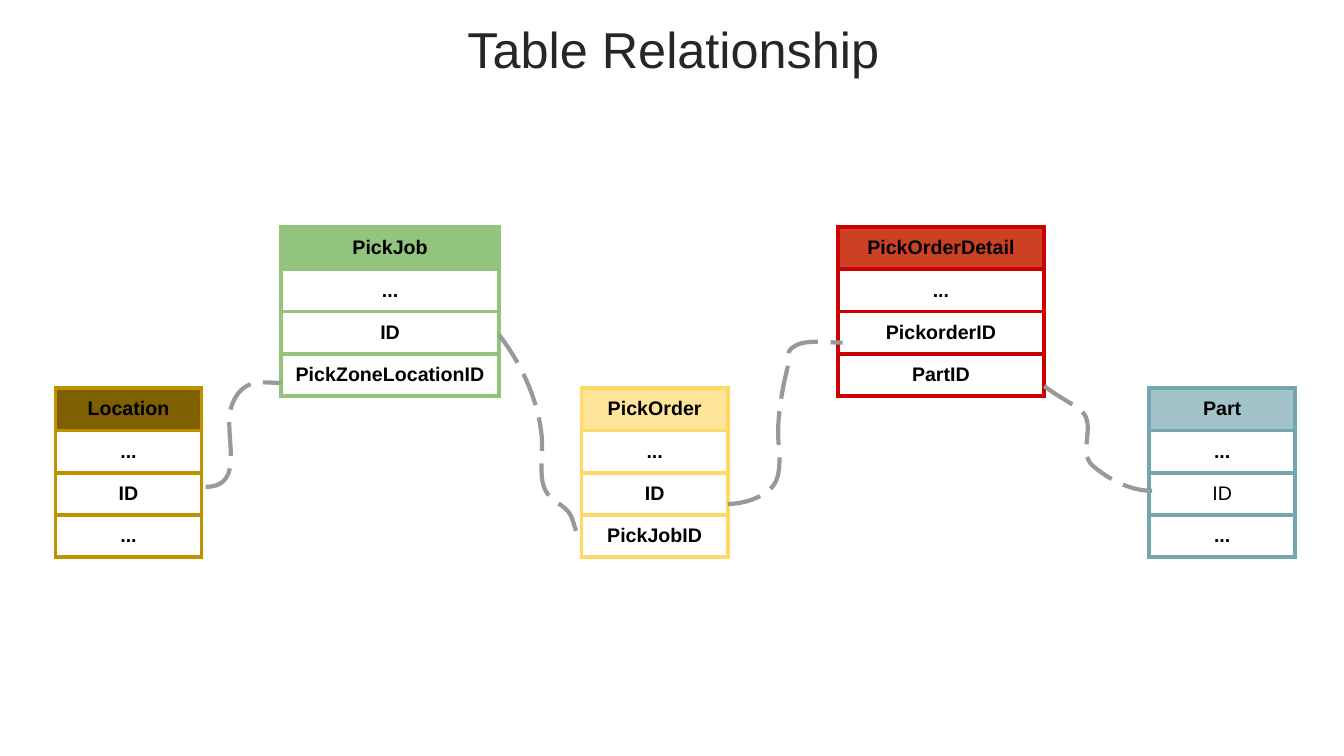
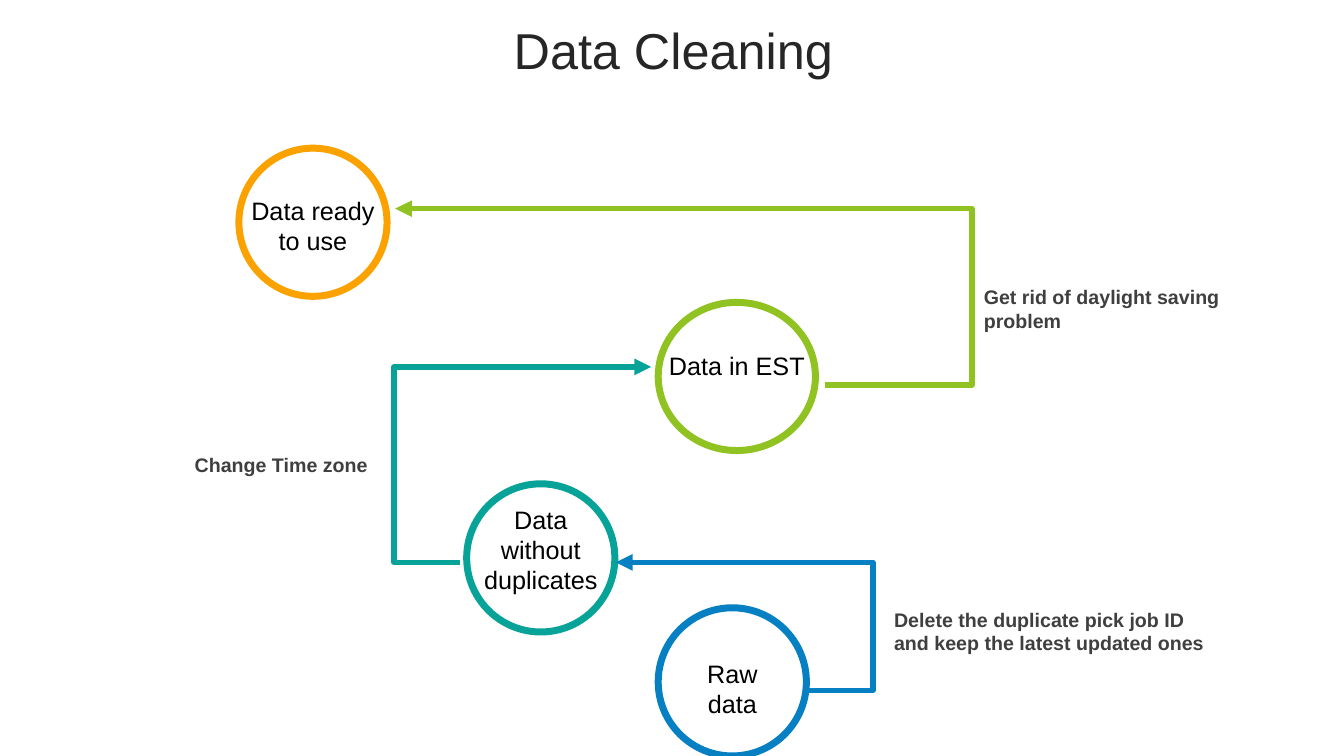
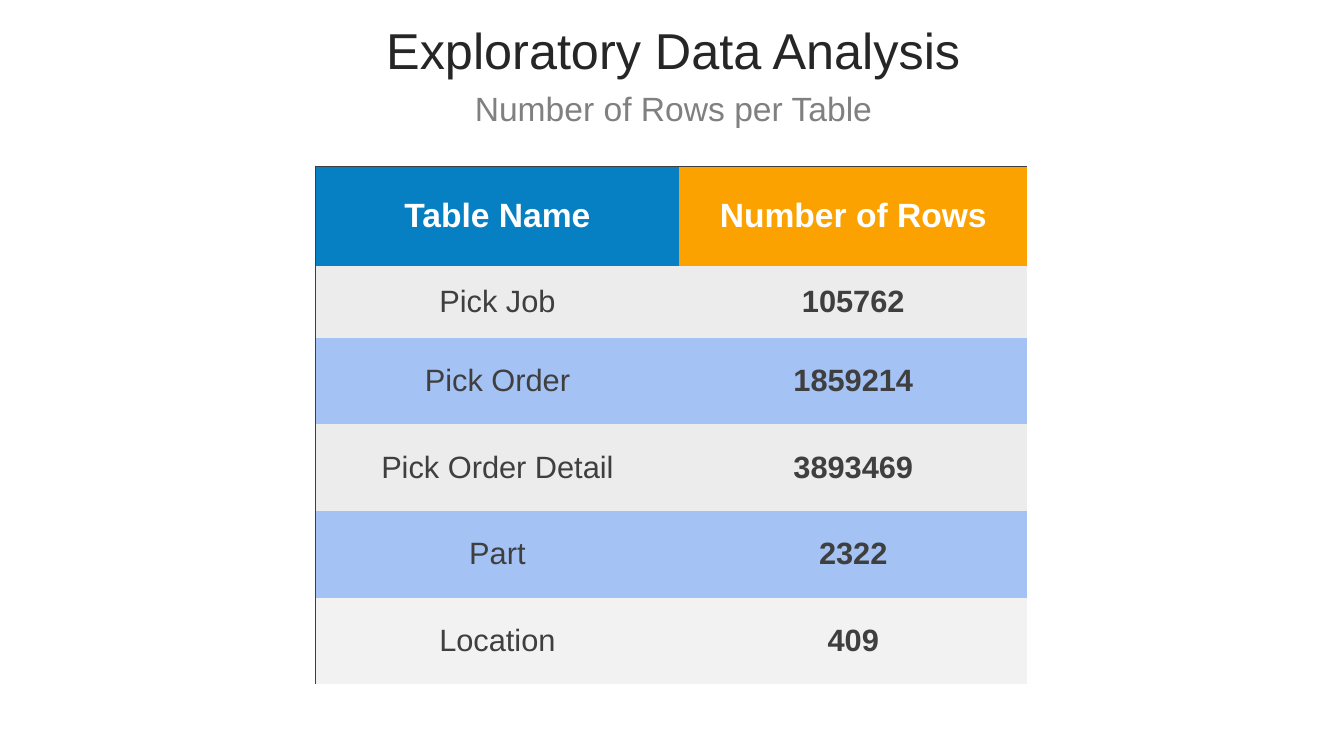
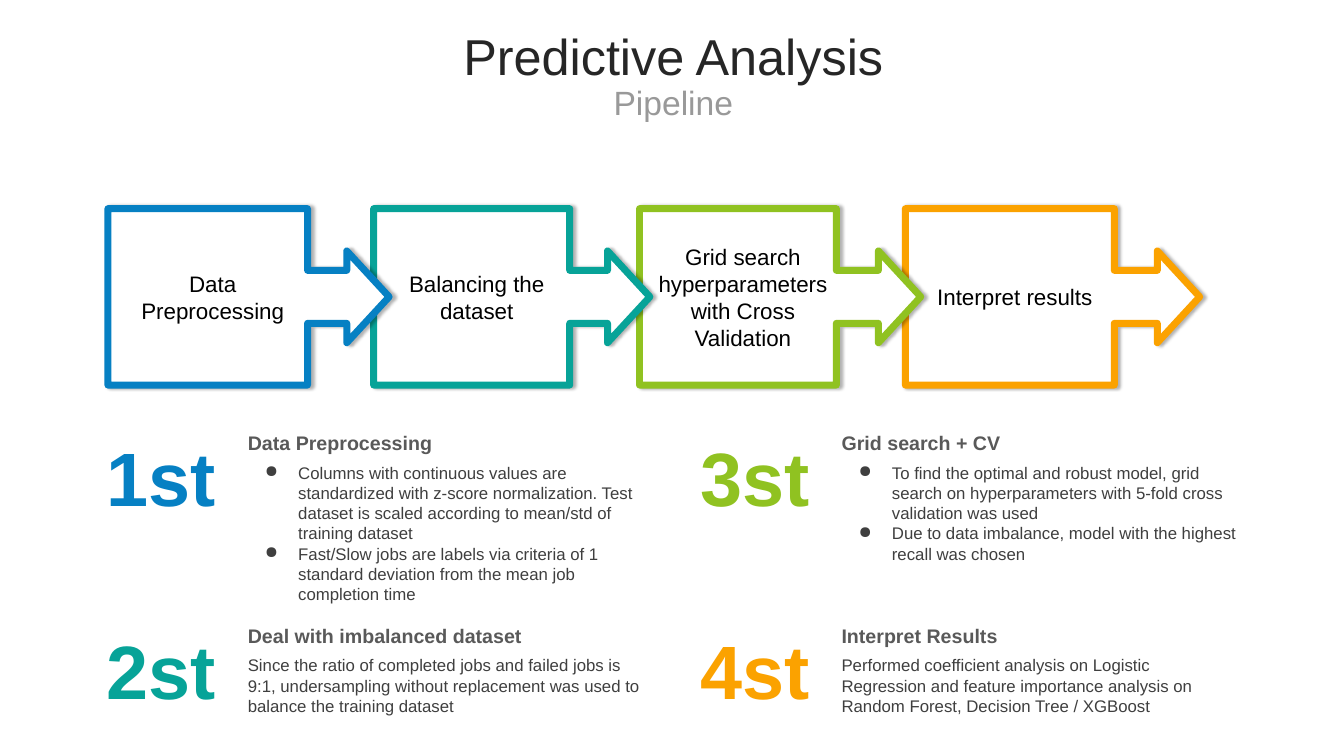
from dataclasses import dataclass

from lxml import etree
from pptx import Presentation
from pptx.dml.color import RGBColor
from pptx.enum.dml import MSO_LINE
from pptx.enum.shapes import MSO_SHAPE
from pptx.enum.text import MSO_ANCHOR, MSO_AUTO_SIZE, PP_ALIGN
from pptx.oxml.ns import qn
from pptx.util import Inches, Pt

LEFT, MID, RIGHT = PP_ALIGN.LEFT, PP_ALIGN.CENTER, PP_ALIGN.RIGHT
TOP, CENTRE = MSO_ANCHOR.TOP, MSO_ANCHOR.MIDDLE
FIXED = MSO_AUTO_SIZE.NONE
OVAL, CALLOUT = MSO_SHAPE.OVAL, MSO_SHAPE.RIGHT_ARROW_CALLOUT
DASH = MSO_LINE.LONG_DASH

CELL = Inches(0.1)  # one grid column or row
WIDE, HIGH = 133.33, 75
BARE = "{2D5ABB26-0587-4C30-8999-92F81FD0307C}"  # table style without grid
SIDES = {"l": "a:lnL", "r": "a:lnR", "t": "a:lnT", "b": "a:lnB"}


@dataclass(frozen=True)
class Theme:
    font: str = "Arial"
    # colours
    title: str = "262626"
    black: str = "000000"
    white: str = "FFFFFF"
    body: str = "3F3F3F"
    head: str = "595959"
    dim: str = "808080"
    pale: str = "999999"
    blue: str = "0680C3"
    teal: str = "07A398"
    green: str = "90C221"
    gold: str = "FBA200"
    grey: str = "ECECEC"
    sky: str = "A4C2F4"
    mist: str = "F2F2F2"
    # type sizes
    huge: int = 54
    main: int = 36
    sub: int = 24
    row: int = 22
    ring: int = 18
    step: int = 16
    label: int = 14
    note: int = 12


T = Theme()


# ---- shared helpers ----

def grid(*cells):
    return [round(c * CELL) for c in cells]


def rgb(code):
    return RGBColor.from_string(code)


def pad(part, x, y):
    part.margin_left = part.margin_right = Inches(x)
    part.margin_top = part.margin_bottom = Inches(y)


def style(para, size, color, bold=False, align=LEFT):
    para.alignment = align
    for run in para.runs:
        font = run.font
        font.name, font.size, font.bold = T.font, Pt(size), bold
        font.color.rgb = rgb(color)


def write(frame, text, *look):
    frame.text = text
    for para in frame.paragraphs:
        style(para, *look)


def label(slide, box, text, *look, inset=(0.1, 0.05)):
    frame = slide.shapes.add_textbox(*grid(*box)).text_frame
    frame.word_wrap = True
    pad(frame, *inset)
    write(frame, text, *look)
    return frame


def stroke(shape, color, width):
    shape.line.color.rgb = rgb(color)
    shape.line.width = Pt(width)


def outline(slide, kind, box, color):
    shape = slide.shapes.add_shape(kind, *grid(*box))
    shape.shadow.inherit = False
    shape.fill.solid()
    shape.fill.fore_color.rgb = rgb(T.white)
    stroke(shape, color, 5)
    return shape


def trace(slide, points, color, width):
    first, *rest = [grid(*p) for p in points]
    pen = slide.shapes.build_freeform(*first)
    pen.add_line_segments(rest, close=False)
    shape = pen.convert_to_shape()
    shape.shadow.inherit = False
    shape.fill.background()
    stroke(shape, color, width)
    return shape


def new_slide(deck, top, text, sub=None, tint=T.dim, gap=0.9):
    slide = deck.slides.add_slide(deck.slide_layouts[5])
    title = slide.shapes.title
    title.left, title.top, title.width, title.height = grid(3.5, top, 126.6, 7.9)
    frame = title.text_frame
    frame.word_wrap, frame.auto_size = True, FIXED
    frame.vertical_anchor = CENTRE
    pad(frame, 0.1, 0.05)
    write(frame, text, T.main, T.title, False, MID)
    frame.paragraphs[0].line_spacing = 0.9
    if sub:
        para = frame.add_paragraph()
        para.text = sub
        style(para, T.sub, tint, False, MID)
        para.line_spacing = gap
    return slide


def new_table(slide, box, cols, rows):
    table = slide.shapes.add_table(len(rows), len(cols), *grid(*box)).table
    table.first_row = table.horz_banding = False
    table._tbl.tblPr.find(qn("a:tableStyleId")).text = BARE
    for part, size in zip(table.columns, cols):
        part.width = grid(size)[0]
    for part, size in zip(table.rows, rows):
        part.height = grid(size)[0]
    return table


def edge(cell, sides, color, width):
    props = cell._tc.get_or_add_tcPr()
    for side in sides:
        line = etree.SubElement(props, qn(SIDES[side]), w=str(Pt(width)))
        fill = etree.SubElement(line, qn("a:solidFill"))
        etree.SubElement(fill, qn("a:srgbClr"), val=color)


def paint(cell, color):
    if color:
        cell.fill.solid()
        cell.fill.fore_color.rgb = rgb(color)
    else:
        cell.fill.background()


# ---- table relationship ----

def entity(slide, box, names, rim, fill, plain=None):
    table = new_table(slide, box, [box[2]], [box[3] / len(names)] * len(names))
    for i, name in enumerate(names):
        cell = table.cell(i, 0)
        pad(cell, 0.1, 0.1)
        write(cell.text_frame, name, T.label, T.black, i != plain, MID)
        edge(cell, "lrtb", rim, 3)
        paint(cell, None if i else fill)


def curve(slide, points):
    """Dashed link: a start point, then three points for each Bezier part."""
    shape = trace(slide, points, T.pale, 3)
    shape.line.dash_style = DASH
    lines = list(shape._element.iter(qn("a:lnTo")))
    for i in range(0, len(lines), 3):
        bend = etree.SubElement(lines[i].getparent(), qn("a:cubicBezTo"))
        for line in lines[i:i + 3]:
            bend.append(line[0])
            line.getparent().remove(line)


def relation_slide(deck):
    slide = new_slide(deck, 1.2, "Table Relationship")
    high, low, tall = 22.5, 38.5, 16.8
    entity(slide, (27.9, high, 21.6, tall),
           ["PickJob", "...", "ID", "PickZoneLocationID"], "93C47D", "93C47D")
    entity(slide, (57.7, low, 14.5, tall),
           ["PickOrder", "...", "ID", "PickJobID"], "FFD966", "FFE599")
    entity(slide, (83.1, high, 20.5, tall),
           ["PickOrderDetail", "...", "PickorderID", "PartID"], "CC0000", "CC4125")
    entity(slide, (114, low, 14.5, tall),
           ["Part", "...", "ID", "..."], "76A5AF", "A2C4C9", plain=2)
    entity(slide, (5.5, low, 14.5, tall),
           ["Location", "...", "ID", "..."], "BF9000", "7F6000")
    # Links between keys
    curve(slide, [(20.4, 48.3), (24.6, 48.3), (22, 42.9), (23, 40.2),
                  (23.3, 39.4), (23.8, 38.5), (24.9, 38.1),
                  (25.8, 37.8), (26.9, 38), (27.9, 38)])
    curve(slide, [(49.5, 33.2), (51.4, 35.7), (53.2, 39), (53.7, 42.9),
                  (54, 44.8), (53.3, 47.4), (54.2, 48.8),
                  (54.8, 49.9), (56, 50), (56.6, 51.1),
                  (57, 51.8), (57.1, 53.3), (57.7, 53.3)])
    curve(slide, [(72.2, 50), (74.1, 50), (76.4, 49.1), (77, 47.7),
                  (77.6, 46.2), (77.2, 44.5), (77.2, 42.9),
                  (77.2, 40.8), (77.6, 38.7), (78.1, 36.6),
                  (78.3, 35.9), (77.9, 35), (78.6, 34.5),
                  (79.7, 33.6), (81.9, 34), (83.6, 34)])
    curve(slide, [(103.6, 38.3), (104.7, 39.2), (106.2, 39.9), (107.3, 40.8),
                  (108.8, 42.1), (106.9, 44.9), (108.4, 46.2),
                  (109.9, 47.5), (112.1, 48.7), (114.3, 48.7)])


# ---- data cleaning ----

def stage(slide, box, text, color, drop):
    x, y, w, h = box
    outline(slide, OVAL, box, color)
    label(slide, (x, y + drop, w, h - 2 * drop), text,
          T.ring, T.black, False, MID, inset=(0.1, 0.1))


def turn(slide, tip, bend, end, color):
    """Three-part arrow from end, round the column bend, to tip."""
    shape = trace(slide, [tip, (bend, tip[1]), (bend, end[1]), end], color, 4)
    line = shape.line._get_or_add_ln()
    etree.SubElement(line, qn("a:headEnd"), type="triangle")


def cleaning_slide(deck):
    slide = new_slide(deck, 1.3, "Data Cleaning")
    size = 14.7
    # Stages
    stage(slide, (65.3, 60.3, size, size), "Raw\ndata", T.blue, 4)
    stage(slide, (46.3, 48, size, size), "Data without duplicates", T.teal, 1)
    stage(slide, (65.3, 30, 15.6, size), "Data in EST", T.green, 3.8)
    stage(slide, (23.7, 14.7, size, size), "Data ready to use", T.gold, 3.7)
    # Arrows
    turn(slide, (39.2, 20.7), 96.4, (81.8, 38.2), T.green)
    turn(slide, (64.6, 36.4), 39.1, (45.6, 55.8), T.teal)
    turn(slide, (61.1, 55.8), 86.6, (80.1, 68.5), T.blue)
    # What each step does
    for x, y, text, align in (
            (87.5, 59.8, "Delete the duplicate pick job ID and keep the latest updated ones", LEFT),
            (3.4, 44.4, "Change Time zone", RIGHT),
            (96.4, 27.8, "Get rid of daylight saving\nproblem", LEFT)):
        label(slide, (x, y, 34.3, 3.4), text, T.label, T.body, True, align,
              inset=(0.12, 0.05))


# ---- row counts ----

def count_table(slide, box, data, fills):
    x, y, w, h = box
    split = 36.1
    rows = [9.9, 7.1] + [(h - 17) / 4] * 4
    table = new_table(slide, box, [split, w - split], rows)
    for r, row in enumerate(data):
        for c, text in enumerate(row):
            cell = table.cell(r, c)
            pad(cell, 0.1, 0.05)
            cell.vertical_anchor = CENTRE
            size, color = (T.row, T.body) if r else (T.sub, T.white)
            write(cell.text_frame, text, size, color, c == 1 or r == 0, MID)
            edge(cell, ("" if c else "l") + ("" if r else "t"), T.body, 1)
            paint(cell, fills[r][c])


def count_slide(deck):
    slide = new_slide(deck, 3.7, "Exploratory Data Analysis",
                      "Number of Rows per Table", gap=1.2)
    data = [("Table Name", "Number of Rows"), ("Pick Job", "105762"),
            ("Pick Order", "1859214"), ("Pick Order Detail", "3893469"),
            ("Part", "2322"), ("Location", "409")]
    bands = [T.grey, T.sky, T.grey, T.sky, T.mist]
    fills = [(T.blue, T.gold)] + [(band, band) for band in bands]
    count_table(slide, (31.3, 16.5, 70.6, 51.4), data, fills)


# ---- pipeline ----

def shade(shape):
    effects = shape._element.spPr.find(qn("a:effectLst"))
    drop = etree.SubElement(effects, qn("a:outerShdw"), blurRad=str(Pt(2)),
                            dist=str(Pt(2)), dir="0", algn="l", rotWithShape="0")
    color = etree.SubElement(drop, qn("a:srgbClr"), val=T.black)
    etree.SubElement(color, qn("a:alpha"), val="30000")


def chain(slide, box, steps):
    x, y, pitch, h = box
    for i, (text, color, width, share) in reversed(list(enumerate(steps))):
        shape = outline(slide, CALLOUT, (x + i * pitch, y, width, h), color)
        for k, value in enumerate((0.3, 0.26, 0.24, share)):
            shape.adjustments[k] = value
        shade(shape)
        frame = shape.text_frame
        frame.word_wrap, frame.vertical_anchor = True, CENTRE
        frame.margin_left, frame.margin_right = Inches(0.15), Inches(0.05)
        write(frame, text, T.step, T.black, False, MID)


def bullet(para):
    props = para._p.get_or_add_pPr()
    props.set("marL", str(Inches(0.5)))
    props.set("indent", str(Inches(-0.33)))
    color = etree.SubElement(props, qn("a:buClr"))
    etree.SubElement(color, qn("a:srgbClr"), val=T.body)
    etree.SubElement(props, qn("a:buChar"), char="●")


def note(slide, box, rank, color, head, lines):
    x, y, w, h = box
    left = x + 14.2
    label(slide, (x, y, 13.2, h), rank, T.huge, color, True, MID)
    label(slide, (left, y, w - 14.2, 3), head, T.label, T.head, True)
    frame = label(slide, (left, y + 3.1, w - 14.2, h - 3), "\n".join(lines),
                  T.note, T.body)
    if len(lines) > 1:
        for para in frame.paragraphs:
            bullet(para)


def pipeline_slide(deck):
    slide = new_slide(deck, 3.7, "Predictive Analysis", "Pipeline", T.pale)
    # Notes, down each column in turn
    notes = [
        ("1st", T.blue, "Data Preprocessing",
         ["Columns with continuous values are standardized with z-score normalization. "
          "Test dataset is scaled according to mean/std of training dataset",
          "Fast/Slow jobs are labels via criteria of 1 standard deviation "
          "from the mean job completion time"]),
        ("2st", T.teal, "Deal with imbalanced dataset",
         ["Since the ratio of completed jobs and failed jobs is 9:1, undersampling "
          "without replacement was used to balance the training dataset"]),
        ("3st", T.green, "Grid search + CV",
         ["To find the optimal and robust model, grid search on hyperparameters "
          "with 5-fold cross validation was used",
          "Due to data imbalance, model with the highest recall was chosen"]),
        ("4st", T.gold, "Interpret Results",
         ["Performed coefficient analysis on Logistic Regression and feature "
          "importance analysis on Random Forest, Decision Tree / XGBoost"])]
    for i, item in enumerate(notes):
        col, row = divmod(i, 2)
        note(slide, (9.4 + col * 58.9, 42.3 + row * 19.1, 55.4, 10.1), *item)
    # Steps: text, colour, width, share of the body
    chain(slide, (10.7, 20.7, 26.37, 17.5), [
        ("Data Preprocessing", T.blue, 27.9, 0.71),
        ("Balancing the dataset", T.teal, 27.4, 0.71),
        ("Grid search hyperparameters with Cross Validation", T.green, 27.9, 0.7),
        ("Interpret results", T.gold, 29.2, 0.71)])


def main():
    deck = Presentation()
    deck.slide_width, deck.slide_height = grid(WIDE, HIGH)
    for build in (relation_slide, cleaning_slide, count_slide, pipeline_slide):
        build(deck)
    deck.save("out.pptx")


if __name__ == "__main__":
    main()
